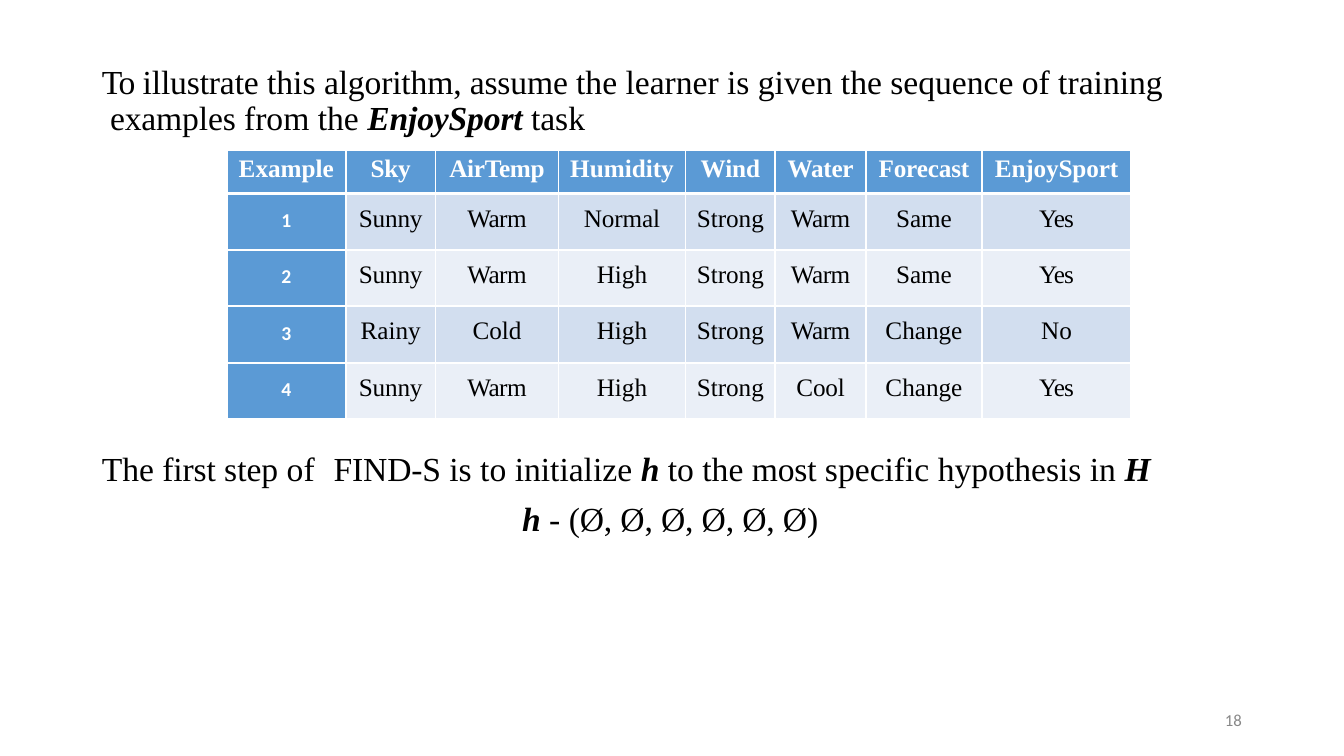
import dataclasses

import lxml.etree
import pptx
import pptx.dml.color
import pptx.enum.text
import pptx.oxml.ns
import pptx.util

PX = 9144  # EMU in one px, 100 px to the inch
CENTER = pptx.enum.text.PP_ALIGN.CENTER


@dataclasses.dataclass(frozen=True)
class Theme:
    serif: str = "Times New Roman"
    sans: str = "Calibri"
    ink: str = "000000"
    white: str = "FFFFFF"
    muted: str = "888888"
    accent: str = "5B9AD5"
    bands: tuple = ("D2DEEF", "EAEFF7")
    body_size: int = 24
    table_size: int = 18
    index_size: int = 14
    number_size: int = 12


THEME = Theme()

# Each segment: text, letter spacing in points, emphasised
INTRO = [
    ("To ", -0.9, False), ("illustrate ", -0.1, False), ("this ", 0, False),
    ("algorithm, assume ", -0.1, False),
    ("the learner is given the sequence of training", 0, False),
    ("\v", 0, False),
    (" examples ", -0.1, False), ("from the ", 0, False),
    ("EnjoySport ", -0.1, True), ("task", 0, False),
]
FIRST_STEP = [
    ("The ", 0, False), ("first ", -0.1, False), ("step of\t", 0, False),
    ("FIND-S ", -0.1, False), ("is to initialize ", 0, False),
    ("h ", 0, True), ("to the ", 0, False), ("most ", -0.1, False),
    ("specific hypothesis in ", 0, False), ("H", 0, True),
]
HYPOTHESIS = [
    ("h ", -0.1, True), ("- ", 0, False), ("(Ø, Ø, Ø, Ø, Ø, Ø)", -0.1, False),
]

EXAMPLES = [
    ["Example", "Sky", "AirTemp", "Humidity", "Wind", "Water", "Forecast", "EnjoySport"],
    ["1", "Sunny", "Warm", "Normal", "Strong", "Warm", "Same", "Yes"],
    ["2", "Sunny", "Warm", "High", "Strong", "Warm", "Same", "Yes"],
    ["3", "Rainy", "Cold", "High", "Strong", "Warm", "Change", "No"],
    ["4", "Sunny", "Warm", "High", "Strong", "Cool", "Change", "Yes"],
]
COLUMN_WIDTHS = [118, 89, 122, 126, 89, 90, 115, 148]
HEADER_HEIGHT, ROW_HEIGHT = 43, 56
WORD_SPACING = {
    "AirTemp": -0.2, "Water": -0.2, "Warm": -0.4, "Yes": -0.7,
    "Sky": -0.1, "Wind": -0.1, "Forecast": -0.1, "EnjoySport": -0.1,
    "Sunny": -0.1, "Normal": -0.1, "Same": -0.1, "No": -0.1, "Cool": -0.1,
}


def px(length):
    return pptx.util.Emu(length * PX)


def rgb(color):
    return pptx.dml.color.RGBColor.from_string(color)


def style_run(run, font, size, color, bold=False, italic=False, spacing=0):
    run.font.name = font
    run.font.size = pptx.util.Pt(size)
    run.font.color.rgb = rgb(color)
    run.font.bold = bold
    run.font.italic = italic
    if spacing:
        run.font._element.set("spc", str(round(spacing * 100)))


def set_margins(target, top=0):
    target.margin_left = target.margin_right = target.margin_bottom = 0
    target.margin_top = px(top)


def add_text_frame(slide, box, top_inset=0):
    text_frame = slide.shapes.add_textbox(*map(px, box)).text_frame
    text_frame.word_wrap = True
    set_margins(text_frame, top_inset)
    return text_frame


def fill_paragraph(paragraph, segments, indent, space_before):
    for text, spacing, emphasised in segments:
        if text == "\v":
            paragraph.add_line_break()
            continue
        run = paragraph.add_run()
        run.text = text
        style_run(run, THEME.serif, THEME.body_size, THEME.ink,
                  emphasised, emphasised, spacing)
    paragraph.space_before = pptx.util.Pt(space_before)
    paragraph._p.get_or_add_pPr().set("marL", str(px(indent)))


def add_tab_stop(paragraph, position):
    tag = pptx.oxml.ns.qn
    tabs = lxml.etree.SubElement(paragraph._p.get_or_add_pPr(), tag("a:tabLst"))
    lxml.etree.SubElement(tabs, tag("a:tab"), pos=str(px(position)), algn="l")


def set_borders(cell, top, bottom):
    tag = pptx.oxml.ns.qn
    properties = cell._tc.get_or_add_tcPr()
    sides = {"a:lnL": 1.5, "a:lnR": 1.5, "a:lnT": top, "a:lnB": bottom}
    for position, (side, width) in enumerate(sides.items()):
        line = lxml.etree.Element(tag(side), w=str(pptx.util.Pt(width)))
        fill = lxml.etree.SubElement(line, tag("a:solidFill"))
        lxml.etree.SubElement(fill, tag("a:srgbClr"), val=THEME.white)
        properties.insert(position, line)


def add_intro(slide, box):
    paragraph = add_text_frame(slide, box, 6).paragraphs[0]
    fill_paragraph(paragraph, INTRO, 1, 4.2)
    paragraph.line_spacing = pptx.util.Pt(25.9)


def style_cell(cell, row, column):
    is_header, is_index = row == 0, column == 0 and row > 0
    is_label = is_header or is_index
    if is_header:
        inset, space_before = 5, 3.4
    elif is_index:
        inset, space_before = 15, 10.5
    else:
        inset, space_before = 11, 7.8
    set_margins(cell, inset)
    cell.fill.solid()
    cell.fill.fore_color.rgb = rgb(
        THEME.accent if is_label else THEME.bands[(row - 1) % 2])
    set_borders(cell, 3 if row == 1 else 1.5, 3 if is_header else 1.5)

    paragraph = cell.text_frame.paragraphs[0]
    paragraph.text = EXAMPLES[row][column]
    paragraph.alignment = CENTER
    paragraph.space_before = pptx.util.Pt(space_before)
    style_run(paragraph.runs[0],
              THEME.sans if is_index else THEME.serif,
              THEME.index_size if is_index else THEME.table_size,
              THEME.white if is_label else THEME.ink,
              bold=is_label, spacing=WORD_SPACING.get(paragraph.text, 0))


def add_examples_table(slide, left, top):
    heights = [HEADER_HEIGHT] + [ROW_HEIGHT] * (len(EXAMPLES) - 1)
    table = slide.shapes.add_table(
        len(heights), len(COLUMN_WIDTHS), px(left), px(top),
        px(sum(COLUMN_WIDTHS)), px(sum(heights))).table
    for column, width in zip(table.columns, COLUMN_WIDTHS):
        column.width = px(width)
    for row, height in enumerate(heights):
        table.rows[row].height = px(height)
        for column in range(len(COLUMN_WIDTHS)):
            style_cell(table.cell(row, column), row, column)


def add_first_step(slide, box):
    text_frame = add_text_frame(slide, box, 11)
    step = text_frame.paragraphs[0]
    fill_paragraph(step, FIRST_STEP, 1, 8.2)
    add_tab_stop(step, 230)
    fill_paragraph(text_frame.add_paragraph(), HYPOTHESIS, 418, 7.2)


def add_slide_number(slide, box):
    paragraph = add_text_frame(slide, box).paragraphs[0]
    paragraph.text = "18"
    paragraph.line_spacing = pptx.util.Pt(12.4)
    paragraph._p.get_or_add_pPr().set("marL", str(px(3)))
    style_run(paragraph.runs[0], THEME.sans, THEME.number_size, THEME.muted)


def main():
    presentation = pptx.Presentation()
    presentation.slide_width, presentation.slide_height = px(1333), px(750)
    slide = presentation.slides.add_slide(presentation.slide_layouts[6])
    add_slide_number(slide, (1212, 707, 23, 20))
    add_intro(slide, (100, 58, 1061, 79))
    add_first_step(slide, (100, 433, 1060, 103))
    add_examples_table(slide, 225, 149)
    presentation.save("out.pptx")


if __name__ == "__main__":
    main()
